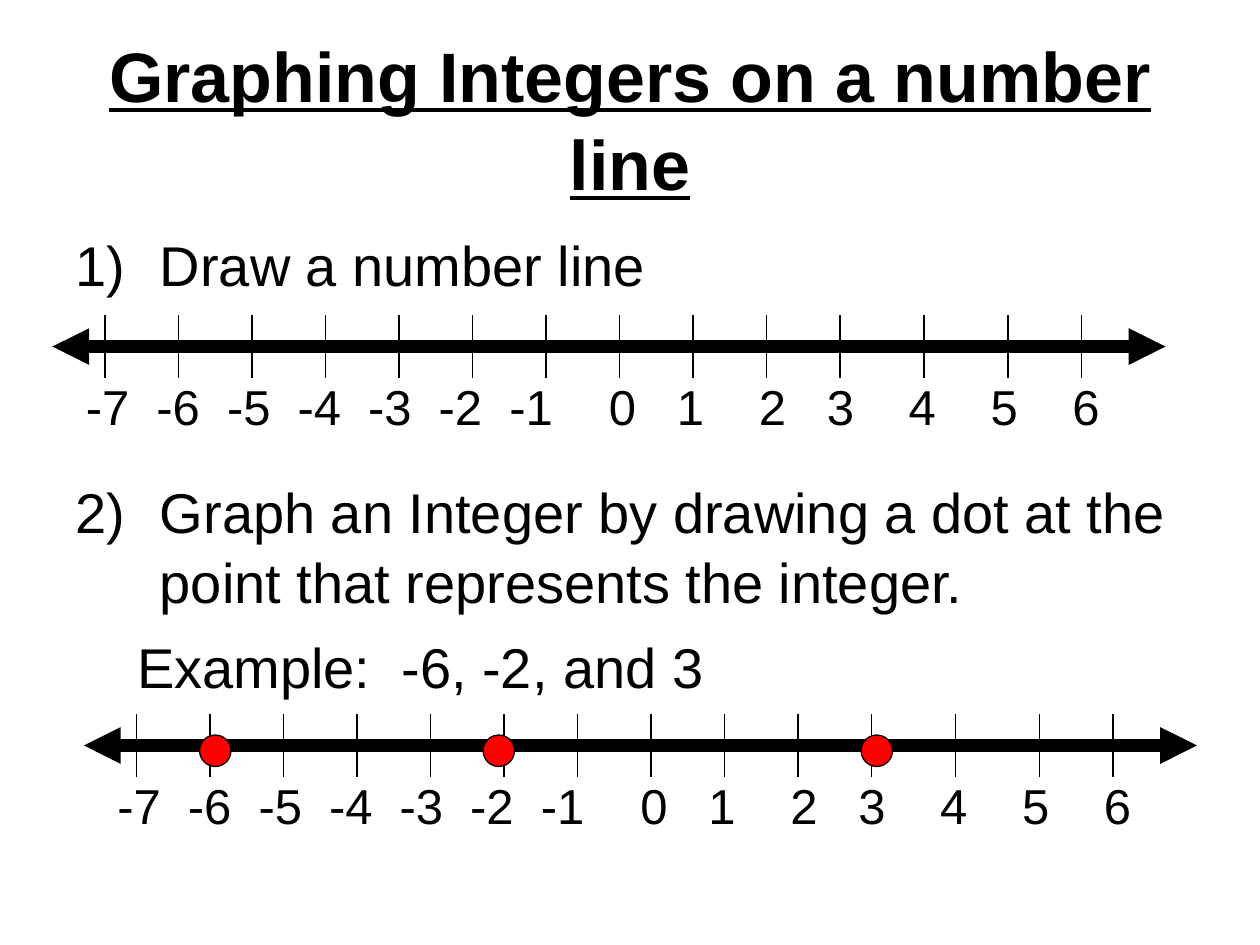
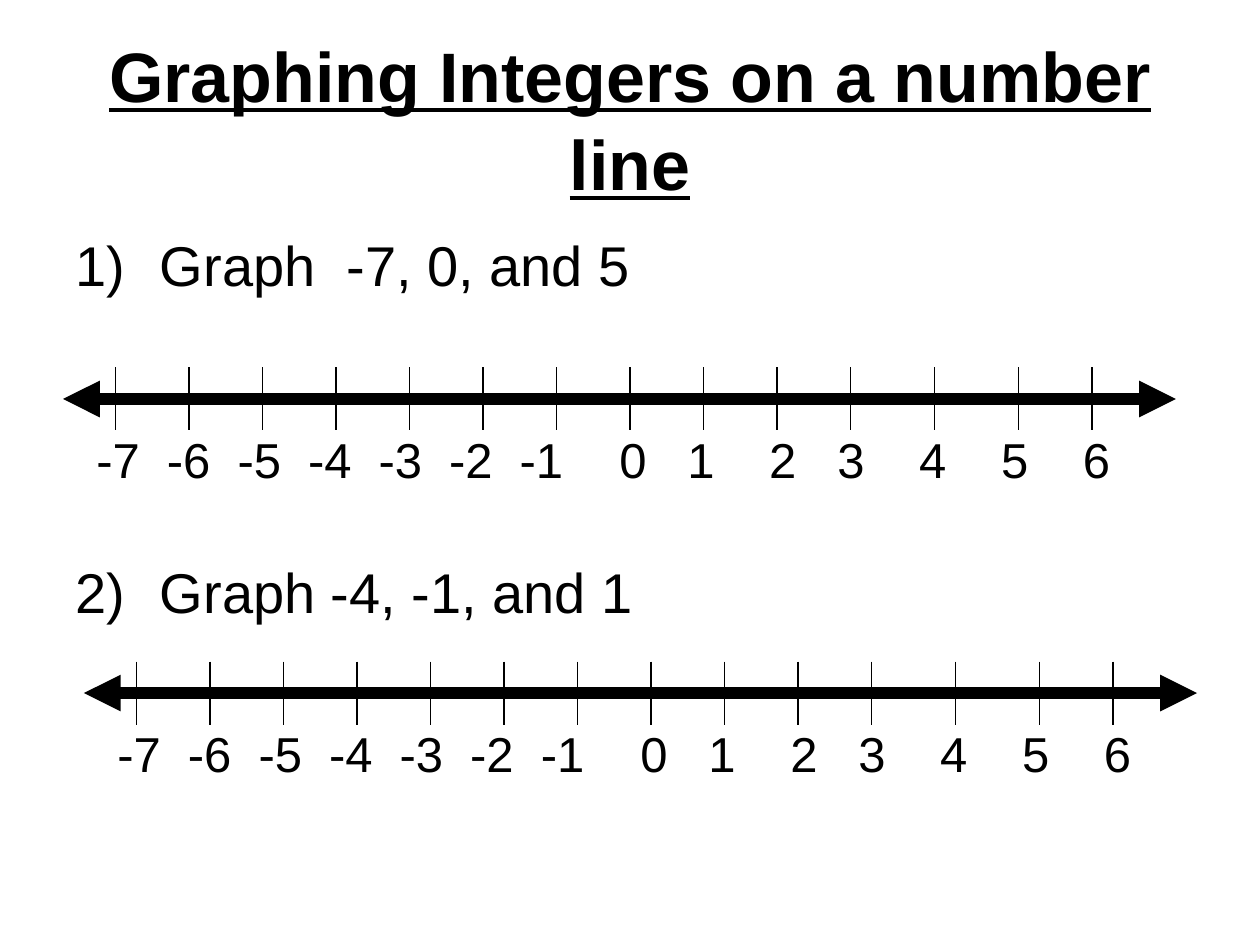
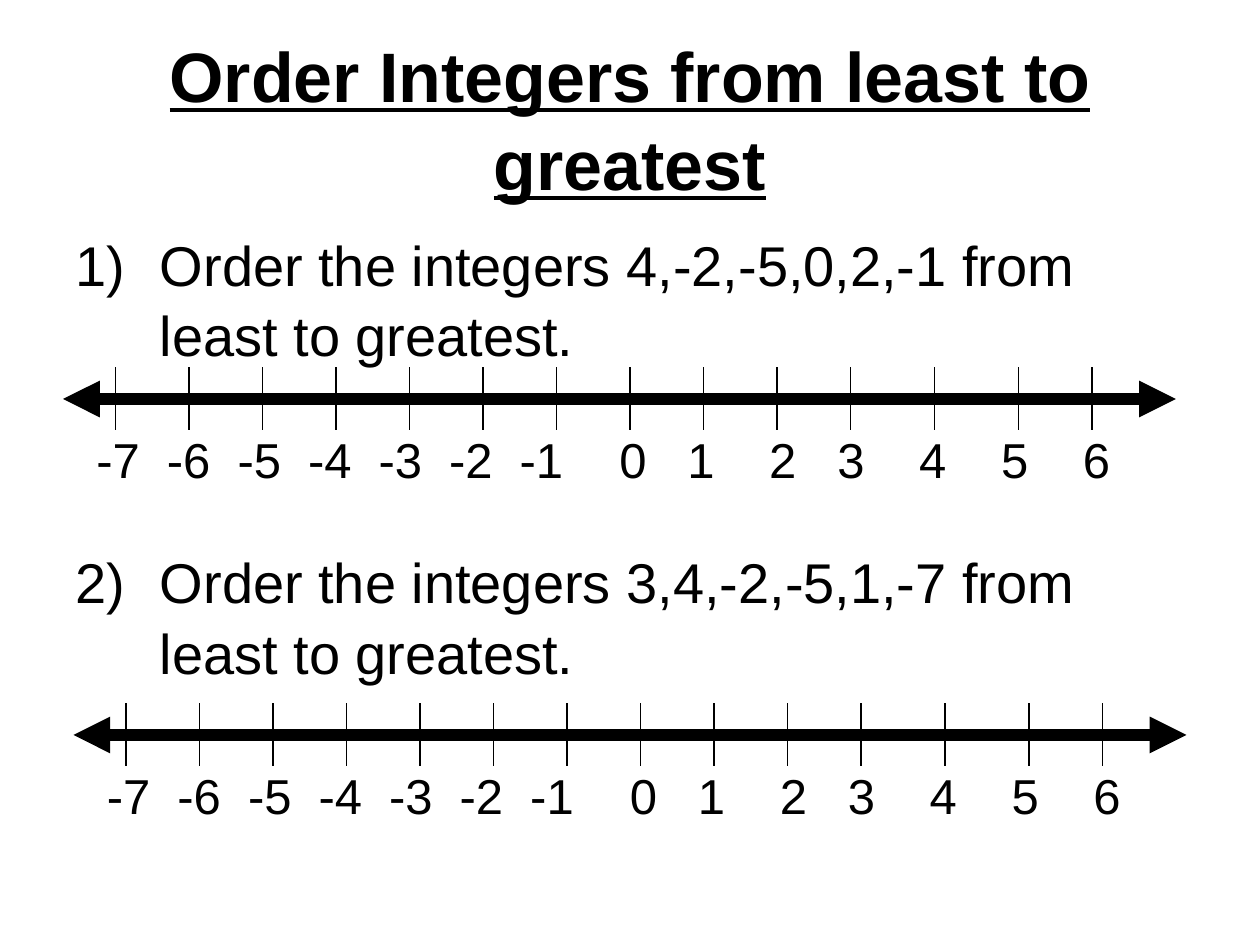
from dataclasses import dataclass
from itertools import accumulate

from lxml import etree
from pptx import Presentation
from pptx.dml.color import RGBColor
from pptx.enum import shapes, text
from pptx.oxml.ns import qn
from pptx.util import Inches, Pt


@dataclass(frozen=True)
class Theme:
    font: str = "Arial"
    ink: RGBColor = RGBColor(0, 0, 0)
    dot: RGBColor = RGBColor(255, 0, 0)
    title: int = 40
    body: int = 32
    label: int = 28
    axis: float = 7
    thin: float = 0.75
    spacing: float = 1.05


theme = Theme()
UNIT = Inches(1) // 12
TICKS = list(accumulate([5] + [7] * 10 + [8, 8, 7]))
LABELS = "\t".join(str(number) for number in range(-7, 7))
LABEL_STOPS = list(accumulate([0.56] * 6 + [0.79, 0.54, 0.65, 0.54, 0.65, 0.65, 0.65]))

GRAPHING = "Graphing Integers on a number line"
pages = [
    {
        "title": GRAPHING,
        "body": [
            ("Draw a number line", True, 0),
            ("Graph an Integer by drawing a dot at the point that represents the integer.", True, 101),
            ("Example:  -6, -2, and 3", False, 8),
        ],
        "axes": [(5, 33), (8, 71)],
        "dots": [(19, 70), (46, 70), (82, 70)],
    },
    {
        "title": GRAPHING,
        "body": [("Graph  -7, 0, and 5", True, 0), ("Graph -4, -1, and 1", True, 147)],
        "axes": [(6, 38), (8, 66)],
        "dots": [],
    },
    {
        "title": "Order Integers from least to greatest",
        "body": [
            ("Order the integers 4,-2,-5,0,2,-1 from least to greatest.", True, 0),
            ("Order the integers 3,4,-2,-5,1,-7 from least to greatest.", True, 101),
        ],
        "axes": [(6, 38), (7, 70)],
        "dots": [],
    },
]


def add_line(group, start, end, width):
    line = group.shapes.add_connector(
        shapes.MSO_CONNECTOR.STRAIGHT, *(UNIT * value for value in start + end)
    )
    line.line.color.rgb = theme.ink
    line.line.width = Pt(width)
    etree.SubElement(line._element.spPr, qn("a:effectLst"))
    return line


def add_span(paragraph, words, size):
    paragraph.line_spacing = theme.spacing
    span = paragraph.add_run()
    span.text = words
    span.font.name = theme.font
    span.font.size = Pt(size)
    span.font.color.rgb = theme.ink
    return span


deck = Presentation()
deck.slide_width = Inches(10)
deck.slide_height = Inches(7.5)

for content in pages:
    page = deck.slides.add_slide(deck.slide_layouts[6])

    title = page.shapes.add_textbox(Inches(0.5), Inches(0.3), Inches(9), Inches(1.25)).text_frame
    title.word_wrap = True
    title.vertical_anchor = text.MSO_ANCHOR.MIDDLE
    title.paragraphs[0].alignment = text.PP_ALIGN.CENTER
    span = add_span(title.paragraphs[0], content["title"], theme.title)
    span.font.bold = True
    span.font.underline = True

    body = page.shapes.add_textbox(Inches(0.5), Inches(1.75), Inches(9), Inches(4.95)).text_frame
    body.word_wrap = True
    for index, (words, numbered, gap) in enumerate(content["body"]):
        paragraph = body.add_paragraph() if index else body.paragraphs[0]
        properties = paragraph._p.get_or_add_pPr()
        properties.set("marL", str(Inches(0.67 if numbered else 0.49)))
        if numbered:
            properties.set("indent", str(-Inches(0.67)))
            etree.SubElement(properties, qn("a:buAutoNum"), type="arabicParenR")
        if gap:
            paragraph.space_before = Pt(gap)
        add_span(paragraph, words, theme.body)

    for left, level in content["axes"]:
        number_line = page.shapes.add_group_shape()
        axis = add_line(number_line, (left, level), (left + 106, level), theme.axis)
        for end in ("a:headEnd", "a:tailEnd"):
            etree.SubElement(axis.line._get_or_add_ln(), qn(end), type="triangle")
        for tick in TICKS:
            add_line(number_line, (left + tick, level - 3), (left + tick, level + 3), theme.thin)

        labels = number_line.shapes.add_textbox(
            UNIT * (left + 2), UNIT * (level + 2), Inches(8.58), Inches(0.57)
        ).text_frame
        labels.word_wrap = True
        properties = labels.paragraphs[0]._p.get_or_add_pPr()
        stops = etree.SubElement(properties, qn("a:tabLst"))
        for stop in LABEL_STOPS:
            etree.SubElement(stops, qn("a:tab"), pos=str(Inches(stop)), algn="l")
        add_span(labels.paragraphs[0], LABELS, theme.label)

    for left, top in content["dots"]:
        dot = page.shapes.add_shape(
            shapes.MSO_SHAPE.OVAL, UNIT * left, UNIT * top, Inches(0.25), Inches(0.25)
        )
        dot.shadow.inherit = False
        dot.fill.solid()
        dot.fill.fore_color.rgb = theme.dot
        dot.line.color.rgb = theme.ink
        dot.line.width = Pt(theme.thin)

deck.save("out.pptx")
